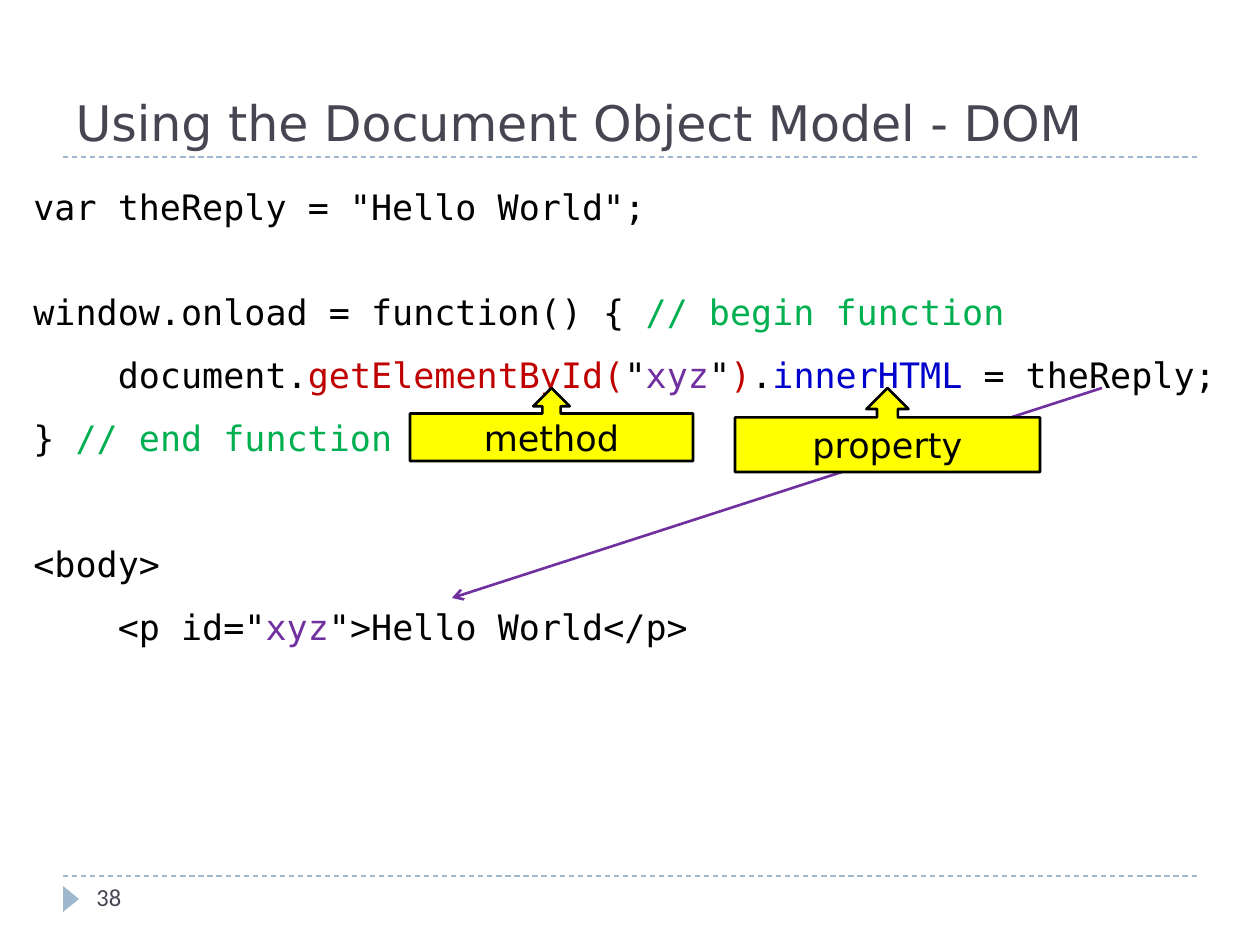
"""Build the slide on the Document Object Model."""
import lxml.etree
import pptx
import pptx.dml.color
import pptx.enum.dml
import pptx.enum.shapes
import pptx.enum.text
import pptx.oxml.ns
import pptx.util

RGB = pptx.dml.color.RGBColor
SHAPE = pptx.enum.shapes.MSO_SHAPE
ALIGN = pptx.enum.text.PP_ALIGN
ANCHOR = pptx.enum.text.MSO_ANCHOR
Pt = pptx.util.Pt

BLACK = RGB(0x00, 0x00, 0x00)
GREEN = RGB(0x00, 0xB0, 0x50)
RED = RGB(0xC0, 0x00, 0x00)
PURPLE = RGB(0x70, 0x30, 0xA0)
BLUE = RGB(0x00, 0x00, 0xCC)
YELLOW = RGB(0xFF, 0xFF, 0x00)
SLATE = RGB(0x46, 0x46, 0x53)
STEEL = RGB(0x9F, 0xB8, 0xCD)
SANS, MONO = "DejaVu Sans", "DejaVu Sans Mono"

TITLE = "Using the Document Object Model - DOM"
PAGE = "38"
# Each entry: line spacing, points before, coloured runs
CODE = [
    (1.0, 0, [('var theReply = "Hello World";', BLACK)]),
    (1.5, 24, [("window.onload = function() { ", BLACK), ("// begin function", GREEN)]),
    (1.5, 0, [("    document.", BLACK), ("getElementById(", RED), ('"', BLACK),
              ("xyz", PURPLE), ('"', BLACK), (")", RED), (".", BLACK),
              ("innerHTML", BLUE), (" = theReply;", BLACK)]),
    (1.5, 0, [("} ", BLACK), ("// end function", GREEN)]),
    (1.5, 36, [("<body>", BLACK)]),
    (1.5, 0, [('    <p id="', BLACK), ("xyz", PURPLE), ('">Hello World</p>', BLACK)]),
]
METHOD = ("method", (410, 388, 283, 73))
PROPERTY = ("property", (735, 388, 305, 84))
RULES_Y = (876, 157)
RULE_LEFT, RULE_RIGHT = 63, 1197
REPLY_ARROW = (1102, 388, 452, 598)


def px(*lengths):
    return [pptx.util.Emu(round(n * 914400 / 126)) for n in lengths]


def add_run(p, text, size, font, color):
    r = p.add_run()
    r.text = text
    r.font.size = Pt(size)
    r.font.name = font
    r.font.color.rgb = color


def add_line(s, ends, color, width):
    line = s.shapes.add_connector(pptx.enum.shapes.MSO_CONNECTOR.STRAIGHT, *px(*ends))
    line.line.color.rgb = color
    line.line.width = Pt(width)
    lxml.etree.SubElement(line._element.spPr, pptx.oxml.ns.qn("a:effectLst"))
    return line


def add_filled(s, kind, box, color):
    sp = s.shapes.add_shape(kind, *px(*box))
    sp.shadow.inherit = False
    sp.fill.solid()
    sp.fill.fore_color.rgb = color
    return sp


def add_text_box(s, box):
    tf = s.shapes.add_textbox(*px(*box)).text_frame
    tf.word_wrap = True
    return tf


def add_callout(s, label, box):
    sp = add_filled(s, SHAPE.UP_ARROW_CALLOUT, box, YELLOW)
    sp.line.color.rgb = BLACK
    sp.line.width = Pt(1.5)
    sp.text_frame.vertical_anchor = ANCHOR.MIDDLE
    p = sp.text_frame.paragraphs[0]
    p.alignment = ALIGN.CENTER
    add_run(p, label, 20, SANS, BLACK)


def add_frame(s):
    for y in RULES_Y:
        rule = add_line(s, (RULE_LEFT, y, RULE_RIGHT, y), STEEL, 0.75)
        rule.line.dash_style = pptx.enum.dml.MSO_LINE.DASH
    marker = add_filled(s, SHAPE.ISOSCELES_TRIANGLE, (58, 891, 26, 16), STEEL)
    marker.line.fill.background()
    marker.rotation = 90
    page = add_text_box(s, (84, 876, 273, 50))
    add_run(page.paragraphs[0], PAGE, 14, "Calibri", SLATE)


def add_title(s):
    title = s.shapes.title
    title.left, title.top, title.width, title.height = px(63, 32, 1134, 126)
    tf = title.text_frame
    tf.vertical_anchor = ANCHOR.BOTTOM
    p = tf.paragraphs[0]
    p.alignment = ALIGN.LEFT
    add_run(p, TITLE, 28, SANS, SLATE)


def add_code(s):
    tf = add_text_box(s, (21, 179, 1229, 479))
    for i, (spacing, before, runs) in enumerate(CODE):
        p = tf.add_paragraph() if i else tf.paragraphs[0]
        p.line_spacing = spacing
        if before:
            p.space_before = Pt(before)
        for text, color in runs:
            add_run(p, text, 20, MONO, color)


def main():
    prs = pptx.Presentation()
    prs.slide_width, prs.slide_height = px(1260, 945)
    s = prs.slides.add_slide(prs.slide_layouts[5])
    add_frame(s)
    add_title(s)
    add_code(s)
    add_callout(s, *METHOD)
    arrow = add_line(s, REPLY_ARROW, PURPLE, 1.5)
    lxml.etree.SubElement(arrow.line._get_or_add_ln(), pptx.oxml.ns.qn("a:tailEnd"), type="arrow")
    add_callout(s, *PROPERTY)
    prs.save("out.pptx")


if __name__ == "__main__":
    main()
